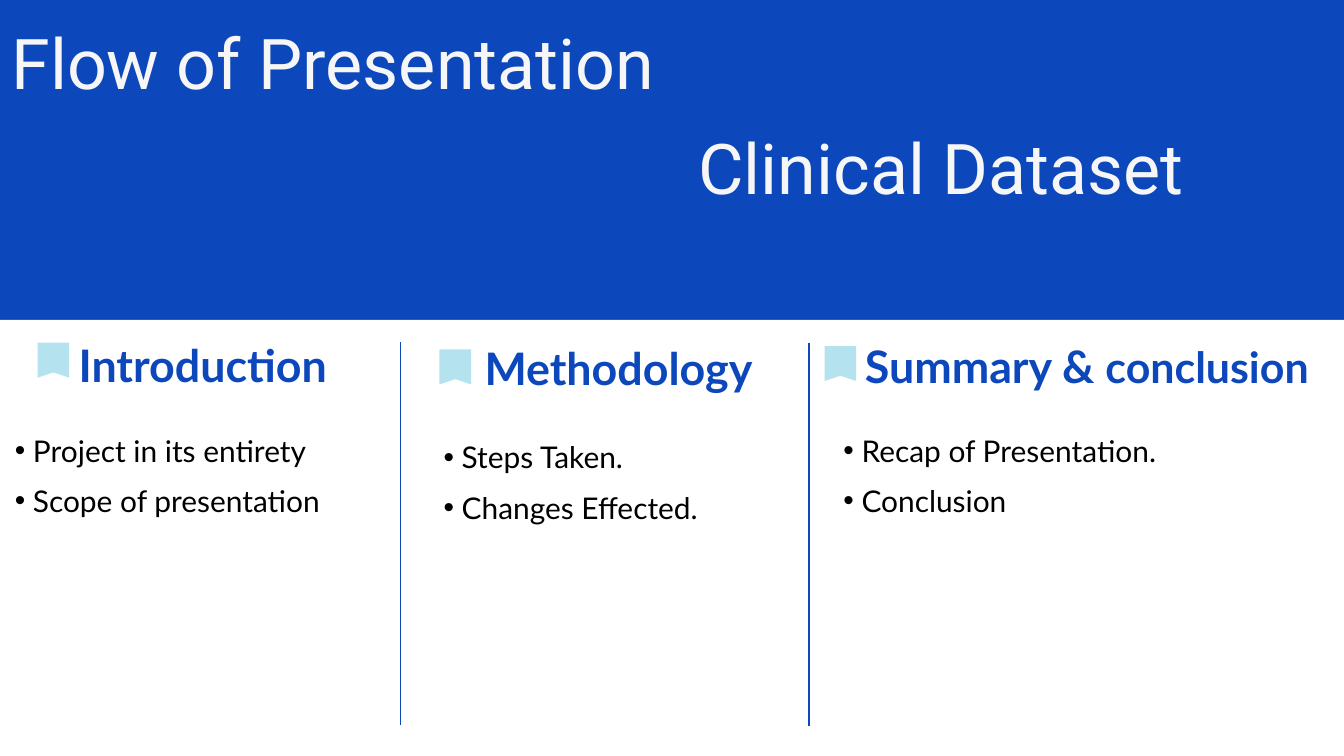
from lxml import etree
from pptx import Presentation
from pptx.dml.color import RGBColor
from pptx.enum.shapes import MSO_CONNECTOR, MSO_SHAPE
from pptx.enum.text import MSO_AUTO_SIZE
from pptx.oxml.ns import qn
from pptx.util import Inches, Pt

RECTANGLE = MSO_SHAPE.RECTANGLE
STRAIGHT = MSO_CONNECTOR.STRAIGHT
FIT_SHAPE = MSO_AUTO_SIZE.SHAPE_TO_FIT_TEXT

COLUMNS, ROWS = 20, 11.25
BLUE, WHITE, PALE, BLACK, OFF_WHITE = "0C48BB", "FFFFFF", "B4E3EF", "000000", "F6F6F6"
BAND_BOTTOM = 4.76
DIVIDERS = [(5.96, 5.09), (12.04, 5.1)]
DIVIDER_ROWS = 5.7
TITLES = [("Flow of Presentation", 0.17, 0.29), ("Clinical Dataset", 10.39, 1.85)]
SECTIONS = [
    {
        "bookmark": (0.56, 5.1),
        "heading": (1.17, 4.78, 4.6),
        "runs": [("Introduction", 48)],
        "list": (-0.05, 6.22, 6.19),
        "items": ["Project in its entirety", "Scope of presentation"],
    },
    {
        "bookmark": (6.54, 5.2),
        "heading": (7.21, 4.83, 5.02),
        "runs": [("Methodology", 48)],
        "list": (6.33, 6.32, 5.91),
        "items": ["Steps Taken.", "Changes Effected."],
    },
    {
        "bookmark": (12.27, 5.15),
        "heading": (12.87, 4.8, 7.15),
        "runs": [("Summary & ", 48), ("conclusion", 46)],
        "list": (12.28, 6.22, 6.72),
        "items": ["Recap of Presentation.", "Conclusion"],
    },
]


def color(value):
    """Turn a hex string into a colour."""
    return RGBColor.from_string(value)


class SlideBuilder:
    """Hold the style and the slide, and draw elements on its grid."""

    def __init__(self, presentation):
        """Add a blank slide and measure its grid."""
        self.slide = presentation.slides.add_slide(presentation.slide_layouts[6])
        self.shapes = self.slide.shapes
        self.column = presentation.slide_width / COLUMNS
        self.row = presentation.slide_height / ROWS
        self.body_font, self.title_font = "Lato", "Roboto"

    def place(self, left, top, width, height):
        """Convert columns and rows to slide lengths."""
        return (round(left * self.column), round(top * self.row),
                round(width * self.column), round(height * self.row))

    def paint(self, shape, fill):
        """Give a shape a plain fill with no line or shadow."""
        shape.shadow.inherit = False
        shape.fill.solid()
        shape.fill.fore_color.rgb = color(fill)
        shape.line.fill.background()

    def panel(self, top, bottom, fill):
        """Draw a rectangle across the whole slide."""
        shape = self.shapes.add_shape(RECTANGLE, *self.place(0, top, COLUMNS, bottom - top))
        self.paint(shape, fill)

    def divider(self, left, top):
        """Draw a vertical line between sections."""
        x, y, _, height = self.place(left, top, 0, DIVIDER_ROWS)
        connector = self.shapes.add_connector(STRAIGHT, x, y, x, y + height)
        connector.line.color.rgb = color(BLUE)
        connector.line.width = Pt(1.5)
        etree.SubElement(connector._element.spPr, qn("a:effectLst"))

    def bookmark(self, left, top):
        """Draw a ribbon with a notched lower edge."""
        x, y, width, height = self.place(left, top, 0.47, 0.52)
        notch = y + round(height * 0.85)
        builder = self.shapes.build_freeform(x, y)
        builder.add_line_segments([(x + width, y), (x + width, y + height),
                                   (x + width // 2, notch), (x, y + height)])
        self.paint(builder.convert_to_shape(), PALE)

    def text_frame(self, left, top, width, height):
        """Add a wrapping text box without margins."""
        frame = self.shapes.add_textbox(*self.place(left, top, width, height)).text_frame
        frame.word_wrap = True
        frame.auto_size = FIT_SHAPE
        frame.margin_left = frame.margin_top = frame.margin_right = frame.margin_bottom = 0
        return frame

    def style(self, paragraph, name, fill, size=None, bold=False):
        """Set the font of a paragraph."""
        font = paragraph.font
        font.name, font.bold = name, bold
        font.color.rgb = color(fill)
        if size:
            font.size = Pt(size)

    def title(self, text, left, top):
        """Write one title line."""
        paragraph = self.text_frame(left, top, 12.11, 1.26).paragraphs[0]
        paragraph.text = text
        self.style(paragraph, self.title_font, OFF_WHITE, 75)

    def heading(self, runs, left, top, width):
        """Write a bold section heading from sized runs."""
        paragraph = self.text_frame(left, top, width, 1.05).paragraphs[0]
        paragraph.line_spacing = 1.3
        for text, size in runs:
            run = paragraph.add_run()
            run.text = text
            run.font.size = Pt(size)
        self.style(paragraph, self.body_font, BLUE, bold=True)

    def bullets(self, items, left, top, width):
        """Write a bulleted list."""
        frame = self.text_frame(left, top, width, 1.51)
        for index, item in enumerate(items):
            paragraph = frame.add_paragraph() if index else frame.paragraphs[0]
            paragraph.text = item
            paragraph.level = 1
            paragraph.line_spacing = 1.4
            properties = paragraph._p.get_or_add_pPr()
            properties.set("marL", str(Inches(0.54)))
            properties.set("indent", str(Inches(-0.27)))
            bullet_color = etree.SubElement(properties, qn("a:buClr"))
            etree.SubElement(bullet_color, qn("a:srgbClr"), val=BLACK)
            etree.SubElement(properties, qn("a:buFont"), typeface="Arial")
            etree.SubElement(properties, qn("a:buChar"), char="•")
            self.style(paragraph, self.body_font, BLACK, 32)


def main():
    """Build and save the slide."""
    presentation = Presentation()
    presentation.slide_width = Inches(20)
    presentation.slide_height = Inches(11.25)
    builder = SlideBuilder(presentation)
    builder.panel(0, ROWS, BLUE)
    builder.panel(BAND_BOTTOM, ROWS, WHITE)
    for left, top in DIVIDERS:
        builder.divider(left, top)
    for section in SECTIONS:
        builder.bookmark(*section["bookmark"])
        builder.bullets(section["items"], *section["list"])
        builder.heading(section["runs"], *section["heading"])
    for text, left, top in TITLES:
        builder.title(text, left, top)
    presentation.save("out.pptx")


if __name__ == "__main__":
    main()
